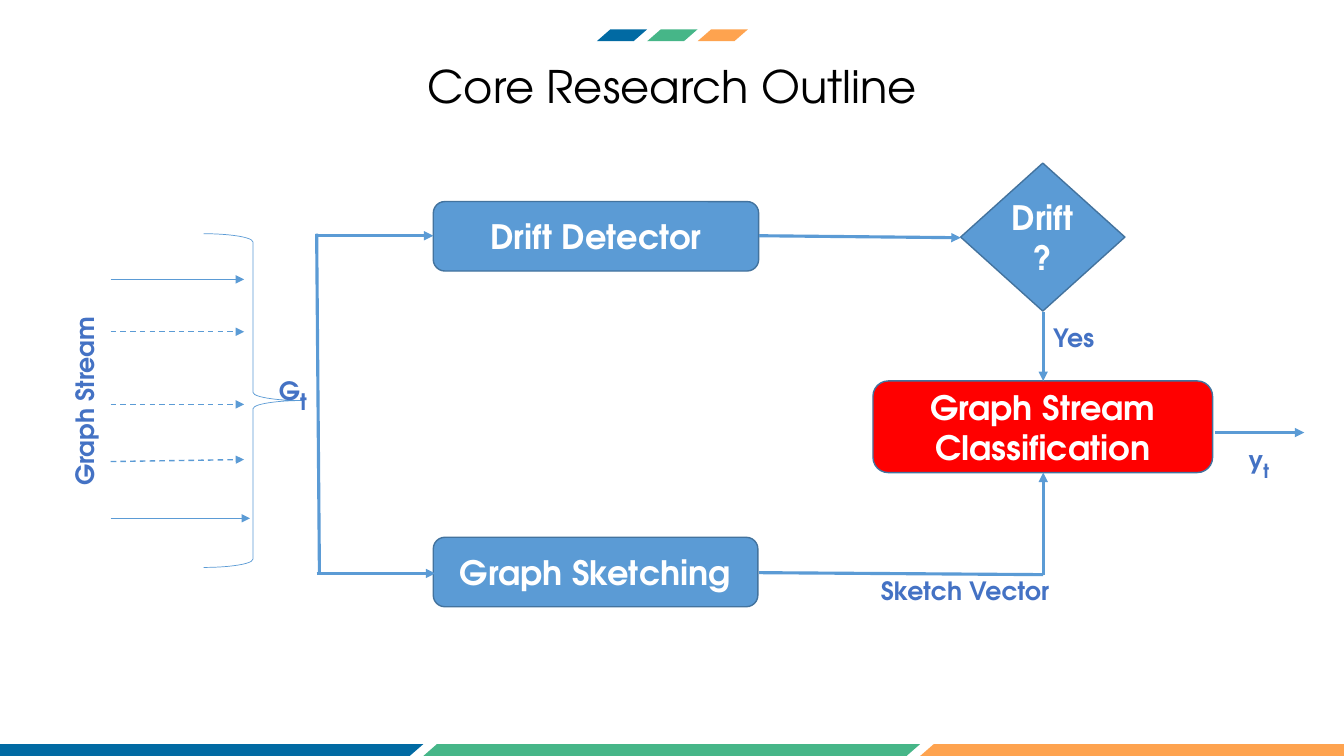
"""Build the Core Research Outline slide: a flowchart for graph stream classification."""
from lxml import etree
from pptx import Presentation
from pptx.dml.color import RGBColor
from pptx.enum.dml import MSO_LINE
from pptx.enum.shapes import MSO_CONNECTOR, MSO_SHAPE
from pptx.enum.text import MSO_ANCHOR, MSO_AUTO_SIZE, PP_ALIGN
from pptx.oxml.ns import qn
from pptx.util import Cm, Pt

STRAIGHT = MSO_CONNECTOR.STRAIGHT
STRIPE, BRACE = MSO_SHAPE.PARALLELOGRAM, MSO_SHAPE.RIGHT_BRACE
ROUNDED, DECISION = MSO_SHAPE.ROUNDED_RECTANGLE, MSO_SHAPE.FLOWCHART_DECISION
DASH, CENTER, LEFT = MSO_LINE.DASH, PP_ALIGN.CENTER, PP_ALIGN.LEFT
MIDDLE, TOP, GROW = MSO_ANCHOR.MIDDLE, MSO_ANCHOR.TOP, MSO_AUTO_SIZE.SHAPE_TO_FIT_TEXT

FONT = "TeX Gyre Adventor"
BLUE, EDGE, RED, LABEL_BLUE = "5B9BD5", "43739E", "FF0000", "4472C4"
STRIPE_COLOURS = ["016AA3", "46B688", "FEA34F"]
STRIPE_ROWS = [(-1.85, 18.75, 12.52), (15.04, 0.74, 1.27)]
STRIPE_HEIGHT, STRIPE_SLANT = 0.3, 1.144

TITLE = ("Core Research Outline", (9.63, 1.47, 14.63, 1.37))
BRACE_BOX = (5.13, 5.89, 2.49, 8.41)
STEPS = [
    (DECISION, ["Drift ?"], (24.21, 4.11, 4.14, 3.73), BLUE),
    (ROUNDED, ["Drift Detector"], (10.92, 5.08, 8.2, 1.75), BLUE),
    (ROUNDED, ["Graph Sketching"], (10.92, 13.54, 8.18, 1.75), BLUE),
    (ROUNDED, ["Graph Stream", "Classification"], (22, 9.6, 8.56, 2.31), RED),
]
LABELS = [
    ("Graph Stream", "", 0, (-0.33, 9.53, 4.9, 1.02), 270),
    ("G", "t", 28, (6.78, 8.99, 1.24, 1.07), 0),
    ("Sketch Vector", "", 0, (21.95, 14.38, 4.88, 1.02), 0),
    ("Yes", "", 0, (26.29, 8, 1.6, 1.02), 0),
    ("y", "t", 24, (31.22, 10.87, 1.09, 1.07), 0),
]
STREAM_START = 2.79
STREAM = [
    (7.04, 6.15, 7.04, None),
    (8.36, 6.15, 8.36, DASH),
    (10.19, 6.15, 10.19, DASH),
    (11.63, 6.15, 11.58, DASH),
    (13.06, 6.3, 13.06, None),
]
FLOWS = [
    ((19.13, 5.94, 24.21, 5.99), True),
    ((7.98, 5.89, 8.05, 14.48), False),
    ((7.95, 5.94, 10.92, 5.94), True),
    ((7.98, 14.45, 10.97, 14.45), True),
    ((26.29, 14.48, 26.29, 11.91), True),
    ((26.29, 14.48, 19.13, 14.43), False),
    ((26.29, 7.85, 26.29, 9.6), True),
    ((30.63, 10.9, 32.87, 10.9), True),
]


def colour(value):
    return RGBColor.from_string(value)


def apply(target, values):
    for name, value in values.items():
        setattr(target, name, value)


def add_run(paragraph, text, size, hue, bold=True):
    run = paragraph.add_run()
    run.text = text
    apply(run.font, {"name": FONT, "size": Pt(size), "bold": bold})
    run.font.color.rgb = colour(hue)
    return run


def add_outline(slide, kind, box, fill=None, edge=None, width=1):
    shape = slide.shapes.add_shape(kind, *map(Cm, box))
    shape.shadow.inherit = False
    if fill:
        shape.fill.solid()
        shape.fill.fore_color.rgb = colour(fill)
    else:
        shape.fill.background()
    if edge:
        shape.line.color.rgb = colour(edge)
        shape.line.width = Pt(width)
    else:
        shape.line.fill.background()
    return shape


def add_text(slide, box, values, align):
    holder = slide.shapes.add_textbox(*map(Cm, box))
    apply(holder.text_frame, values)
    paragraph = holder.text_frame.paragraphs[0]
    paragraph.alignment = align
    return holder, paragraph


def add_line(slide, ends, width, arrow=True, dash=None):
    line = slide.shapes.add_connector(STRAIGHT, *map(Cm, ends))
    line.line.color.rgb = colour(BLUE)
    line.line.width = Pt(width)
    if dash:
        line.line.dash_style = dash
    if arrow:
        etree.SubElement(line.line._get_or_add_ln(), qn("a:tailEnd"), type="triangle")
    etree.SubElement(line._element.spPr, qn("a:effectLst"))


def main():
    deck = Presentation()
    apply(deck, {"slide_width": Cm(33.87), "slide_height": Cm(19.05)})
    slide = deck.slides.add_slide(deck.slide_layouts[6])

    title, title_box = TITLE
    margins = dict.fromkeys(["margin_left", "margin_top", "margin_right", "margin_bottom"], 0)
    title_format = {"word_wrap": True, "auto_size": GROW, "vertical_anchor": MIDDLE, **margins}
    _, heading = add_text(slide, title_box, title_format, CENTER)
    add_run(heading, title, 32, "000000", False)

    for left, top, width in STRIPE_ROWS:
        for place, hue in enumerate(STRIPE_COLOURS):
            stripe = add_outline(slide, STRIPE, (left + place * width, top, width, STRIPE_HEIGHT), hue)
            stripe.adjustments[0] = STRIPE_SLANT

    for kind, lines, box, fill in STEPS:
        step = add_outline(slide, kind, box, fill, EDGE)
        apply(step.text_frame, {"word_wrap": True, "vertical_anchor": MIDDLE})
        for place, text in enumerate(lines):
            paragraph = step.text_frame.add_paragraph() if place else step.text_frame.paragraphs[0]
            paragraph.alignment = CENTER
            add_run(paragraph, text, 24, "FFFFFF")

    for start, end_x, end_y, dash in STREAM:
        add_line(slide, (STREAM_START, start, end_x, end_y), 1, dash=dash)
    add_outline(slide, BRACE, BRACE_BOX, edge=BLUE, width=0.5)
    for ends, arrow in FLOWS:
        add_line(slide, ends, 2.25, arrow)

    label_format = {"word_wrap": False, "auto_size": GROW, "vertical_anchor": TOP}
    for text, subscript, size, box, angle in LABELS:
        label, paragraph = add_text(slide, box, label_format, LEFT)
        label.rotation = angle
        add_run(paragraph, text, 18, LABEL_BLUE)
        if subscript:
            lowered = add_run(paragraph, subscript, size, LABEL_BLUE)
            lowered.font._element.set("baseline", "-25000")

    deck.save("out.pptx")


if __name__ == "__main__":
    main()
